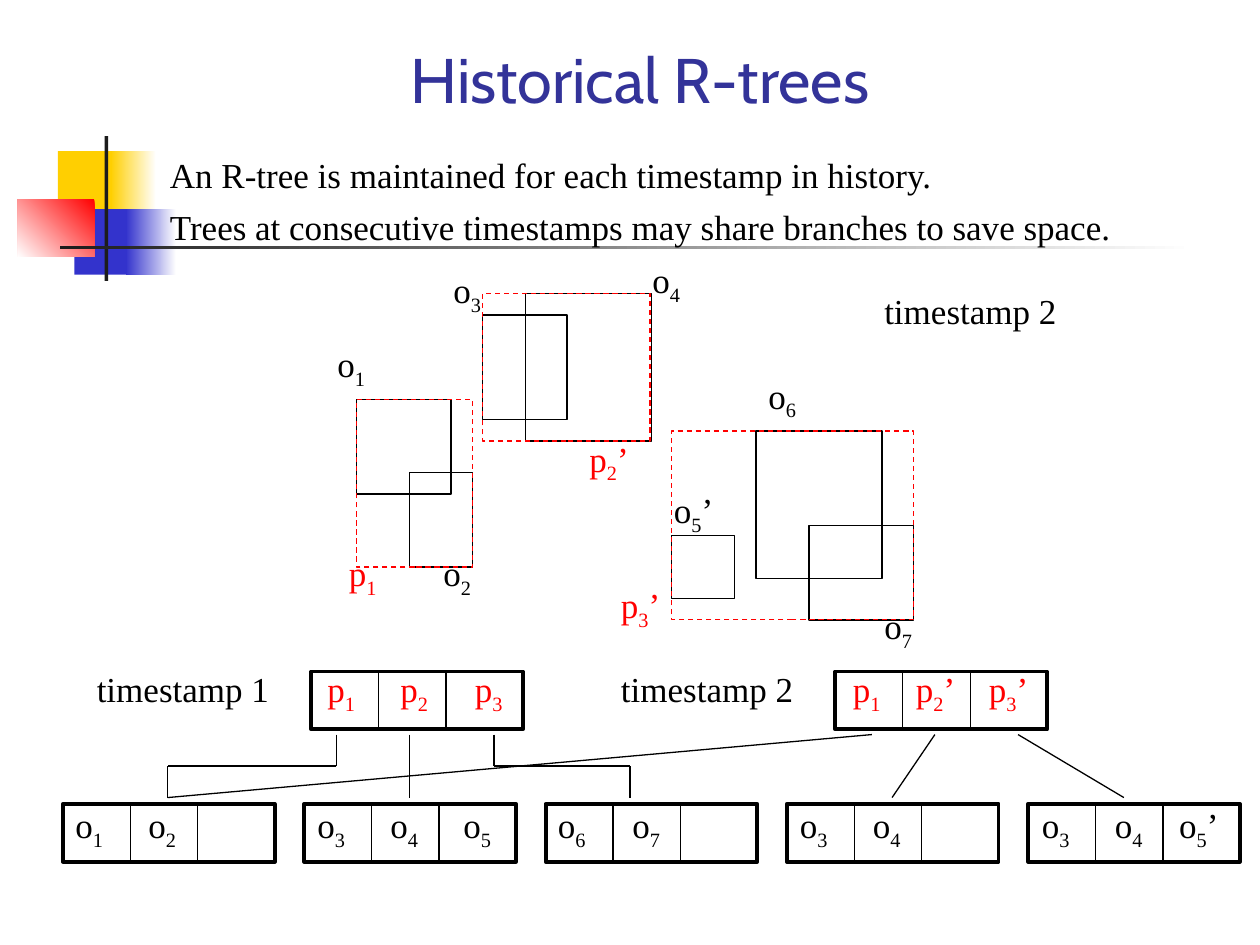
from lxml.etree import SubElement
from pptx import Presentation
from pptx.dml.color import RGBColor
from pptx.enum.dml import MSO_LINE_DASH_STYLE as Dash
from pptx.enum.shapes import MSO_CONNECTOR as Connector, MSO_SHAPE as Shape
from pptx.enum.text import MSO_ANCHOR as Anchor, MSO_AUTO_SIZE as AutoSize, PP_ALIGN as Align
from pptx.oxml.ns import qn
from pptx.util import Inches, Pt

BLACK, RED, WHITE = "000000", "FF0000", "FFFFFF"
YELLOW, BLUE, CHARCOAL, TITLE_BLUE = "FFCF01", "3333CC", "1C1C1C", "333399"
NODE_WIDTH, NODE_HEIGHT, CELL_WIDTH = 1.68, 0.46, 0.535
ROOT_TOP, LEAF_TOP, LEAF_LEFT, LEAF_PITCH = 5.33, 6.38, 0.5, 1.915

ORNAMENTS = [
    (0.46, 1.2, 0.48, 0.52, [YELLOW], 0),
    (0.88, 1.2, 0.36, 0.52, [WHITE, YELLOW], 180),
    (0.59, 1.66, 0.46, 0.52, [BLUE], 0),
    (1, 1.66, 0.4, 0.52, [WHITE, BLUE], 180),
    (0.14, 1.58, 0.61, 0.46, [RED, WHITE], 225),
    (0.83, 1.08, 0.03, 1.15, [CHARCOAL], 0),
    (0.48, 1.95, 9, 0.03, [WHITE, CHARCOAL], 180),
]
SENTENCES = [
    ("An R-tree is maintained for each timestamp in history.", 1.17, 7.67),
    ("Trees at consecutive timestamps may share branches to save space.", 1.58, 8.25),
]
ROOTS = [
    (2.47, [("p_1", 2.5), ("p_2", 3.08), ("p_3", 3.67)]),
    (6.63, [("p_1", 6.67), ("p_2’", 7.17), ("p_3’", 7.75)]),
]
LEAVES = [
    [("o_1", 0.5), ("o_2", 1.08)],
    [("o_3", 2.42), ("o_4", 3), ("o_5", 3.58)],
    [("o_6", 4.33), ("o_7", 4.92)],
    [("o_3", 6.25), ("o_4", 6.83)],
    [("o_3", 8.17), ("o_4", 8.75), ("o_5’", 9.26)],
]
BRANCHES = [
    [(3.25, 5.83), (3.25, 6.33)],
    [(2.67, 5.83), (2.67, 6.08), (1.33, 6.08), (1.33, 6.33)],
    [(3.92, 5.83), (3.92, 6.08), (5, 6.08), (5, 6.33)],
    [(7.42, 5.83), (7.08, 6.33)],
    [(1.33, 6.33), (6.92, 5.83)],
    [(8.92, 6.33), (8.08, 5.83)],
]
OBJECTS = [
    (2.83, 3.17, 0.75, 0.75),
    (3.25, 3.75, 0.5, 0.75),
    (4.17, 2.33, 1, 1.17),
    (5.33, 4.25, 0.5, 0.5),
    (6, 3.42, 1, 1.17),
    (6.42, 4.17, 0.83, 0.75),
    (3.83, 2.5, 0.67, 0.83),
]
BOUNDS = [
    (2.83, 3.17, 0.92, 1.33),
    (3.83, 2.33, 1.33, 1.17),
    (5.33, 3.42, 1.92, 1.5),
]
LABELS = [
    ("o_1", 2.58, 2.67), ("o_2", 3.42, 4.33), ("o_6", 6, 2.92), ("o_7", 6.92, 4.75),
    ("o_5’", 5.25, 3.83), ("p_1", 2.67, 4.33), ("p_2’", 4.58, 3.42),
    ("p_3’", 4.83, 4.58), ("o_4", 5.08, 2), ("o_3", 3.5, 2.08),
]
TIMESTAMPS = [("timestamp 1", 0.67, 5.25), ("timestamp 2", 4.83, 5.25), ("timestamp 2", 6.92, 2.25)]


def rgb(value):
    """Turn a hex string into a colour."""
    return RGBColor.from_string(value)


def add_run(paragraph, text, font="Times New Roman", size=20, color=BLACK, baseline=0):
    """Append a formatted run, lowered when the baseline is negative."""
    run = paragraph.add_run()
    run.text = text
    run.font.name = font
    run.font.size = Pt(size)
    run.font.color.rgb = rgb(color)
    if baseline:
        run.font._element.set("baseline", str(baseline))


def add_text(slide, text, left, top, width, height=0.44, **style):
    """Add a text box, where an underscore lowers the next character."""
    shape = slide.shapes.add_textbox(*map(Inches, (left, top, width, height)))
    frame = shape.text_frame
    frame.word_wrap = True
    frame.auto_size = AutoSize.SHAPE_TO_FIT_TEXT
    paragraph = frame.paragraphs[0]
    stem, _, tail = text.partition("_")
    add_run(paragraph, stem, **style)
    if tail:
        add_run(paragraph, tail[0], baseline=-25000, **style)
    if tail[1:]:
        add_run(paragraph, tail[1:], **style)


def add_label(slide, text, left, top, width=0.99):
    """Add an entry name, red for nodes and black for objects."""
    add_text(slide, text, left, top, width, 0.48, color=RED if text[0] == "p" else BLACK)


def add_rectangle(slide, left, top, width, height):
    """Add a rectangle without fill or shadow."""
    shape = slide.shapes.add_shape(Shape.RECTANGLE, *map(Inches, (left, top, width, height)))
    shape.shadow.inherit = False
    shape.fill.background()
    return shape


def add_outline(slide, box, color=BLACK, weight=0.75, dash=None):
    """Add an outlined rectangle."""
    line = add_rectangle(slide, *box).line
    line.color.rgb = rgb(color)
    line.width = Pt(weight)
    if dash:
        line.dash_style = dash


def add_ornament(slide, left, top, width, height, colors, angle):
    """Add a borderless block with a solid or gradient fill."""
    shape = add_rectangle(slide, left, top, width, height)
    shape.line.fill.background()
    if len(colors) == 1:
        shape.fill.solid()
        shape.fill.fore_color.rgb = rgb(colors[0])
        return
    shape.fill.gradient()
    shape.fill.gradient_angle = angle
    for stop, color in zip(shape.fill.gradient_stops, colors):
        stop.color.rgb = rgb(color)


def add_line(slide, start, end):
    """Add a thin straight connector."""
    connector = slide.shapes.add_connector(Connector.STRAIGHT, *map(Inches, (*start, *end)))
    connector.line.color.rgb = rgb(BLACK)
    connector.line.width = Pt(0.75)
    SubElement(connector._element.spPr, qn("a:effectLst"))


def add_node(slide, left, top, entries, rise):
    """Add a three-cell tree node with its entries."""
    add_outline(slide, (left, top, NODE_WIDTH, NODE_HEIGHT), weight=2.25)
    for index in (1, 2):
        x = left + index * CELL_WIDTH
        add_line(slide, (x, top), (x, top + NODE_HEIGHT))
    for text, text_left in entries:
        add_label(slide, text, text_left, top - rise)


def add_title(slide, text):
    """Place and format the slide title."""
    title = slide.shapes.title
    title.left, title.top, title.width, title.height = map(Inches, (0.83, 0.33, 8.5, 0.58))
    title.text_frame.vertical_anchor = Anchor.MIDDLE
    paragraph = title.text_frame.paragraphs[0]
    paragraph.alignment = Align.CENTER
    add_run(paragraph, text, font="Cabin", size=36, color=TITLE_BLUE)


def main():
    """Build the slide and save it."""
    presentation = Presentation()
    presentation.slide_width, presentation.slide_height = Inches(10), Inches(7.5)
    slide = presentation.slides.add_slide(presentation.slide_layouts[5])
    for ornament in ORNAMENTS:
        add_ornament(slide, *ornament)
    add_title(slide, "Historical R-trees")
    for text, top, width in SENTENCES:
        add_text(slide, text, 1.25, top, width)
    for left, entries in ROOTS:
        add_node(slide, left, ROOT_TOP, entries, 0.08)
    for index, entries in enumerate(LEAVES):
        add_node(slide, LEAF_LEFT + index * LEAF_PITCH, LEAF_TOP, entries, 0.05)
    for points in BRANCHES:
        for start, end in zip(points, points[1:]):
            add_line(slide, start, end)
    for box in OBJECTS:
        add_outline(slide, box)
    for box in BOUNDS:
        add_outline(slide, box, color=RED, dash=Dash.DASH)
    for text, left, top in LABELS:
        add_label(slide, text, left, top, 1.08 if text[0] == "o" else 0.99)
    for text, left, top in TIMESTAMPS:
        add_text(slide, text, left, top, 2)
    presentation.save("out.pptx")


if __name__ == "__main__":
    main()
